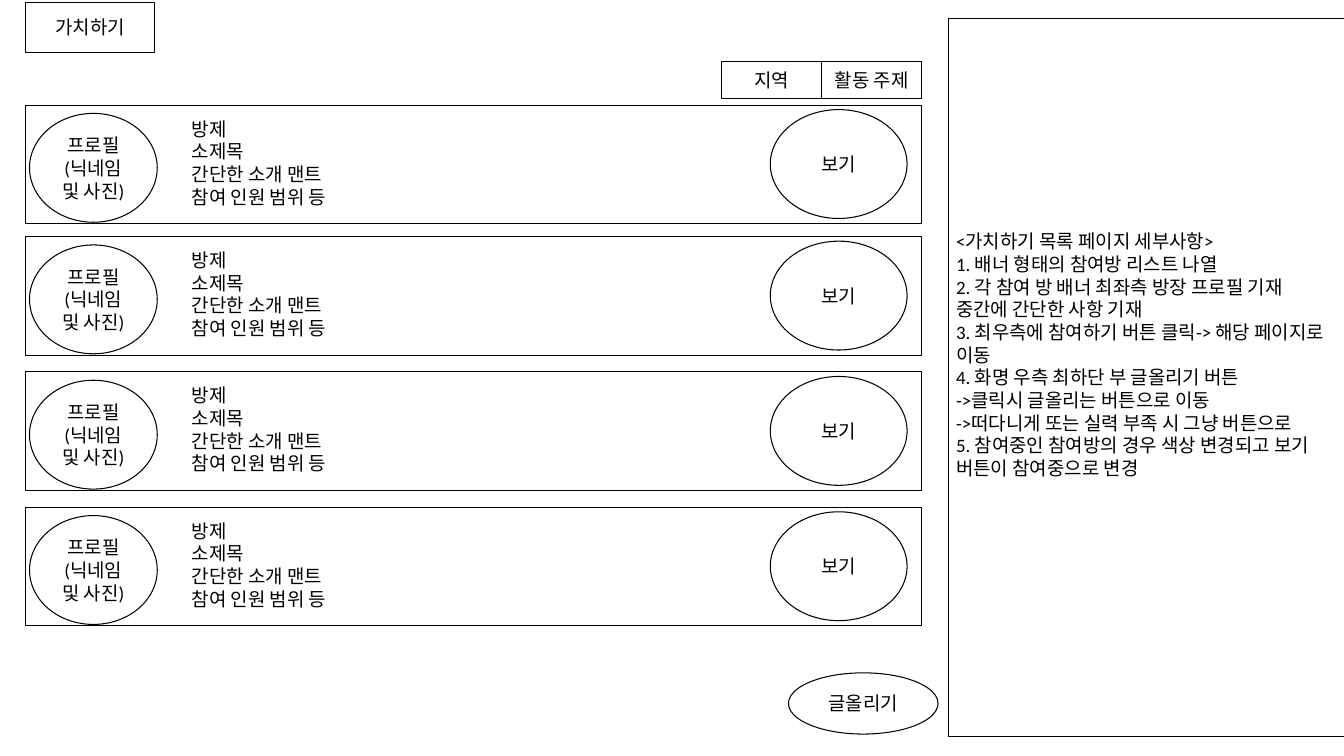
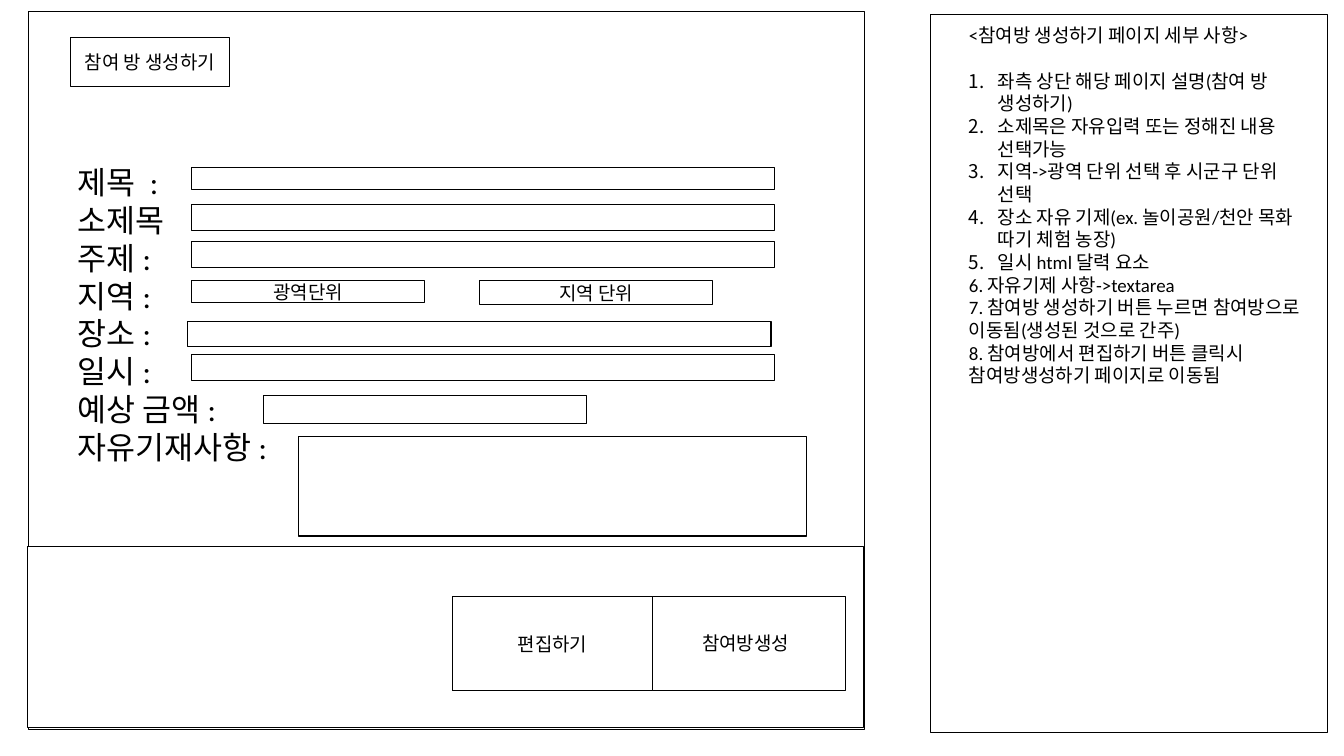
from lxml.etree import SubElement
from pptx import Presentation
from pptx.dml.color import RGBColor
from pptx.enum.shapes import MSO_SHAPE
from pptx.enum.text import MSO_ANCHOR, MSO_AUTO_SIZE, PP_ALIGN
from pptx.oxml.ns import qn
from pptx.util import Pt

PX = 9144  # 100 px to the inch
SLIDE_SIZE = (1778, 1000)
FONT, INK, PAPER = "Calibri", "000000", "FFFFFF"
BODY, LABEL = 18, 30

# List page
BANNER_TOPS = [139, 313, 492, 671]
PROFILE = "프로필\n(닉네임 및 사진)"
ROOM_LINES = ["방제", "소제목", "간단한 소개 맨트", "참여 인원 범위 등"]
FILTERS = ["지역", "활동 주제"]
LIST_NOTES = [
    "<가치하기 목록 페이지 세부사항>",
    "1. 배너 형태의 참여방 리스트 나열",
    "2. 각 참여 방 배너 최좌측 방장 프로필 기재 중간에 간단한 사항 기재",
    "3. 최우측에 참여하기 버튼 클릭-> 해당 페이지로 이동",
    "4. 화명 우측 최하단 부 글올리기 버튼",
    "->클릭시 글올리는 버튼으로 이동",
    "->떠다니게 또는 실력 부족 시 그냥 버튼으로",
    "5. 참여중인 참여방의 경우 색상 변경되고 보기 버튼이 참여중으로 변경",
]

# Form page
FORM_LABELS = ["제목  :", "소제목", "주제 :", "지역 :", "장소 :", "일시 :",
               "예상 금액 :", "자유기재사항 :"]
FORM_FIELDS = [
    ((253, 221, 772, 30), ""),
    ((253, 271, 772, 34), ""),
    ((253, 320, 772, 34), ""),
    ((253, 371, 309, 29), "광역단위"),
    ((634, 371, 309, 32), "지역 단위"),
    ((248, 425, 772, 34), ""),
    ((253, 469, 772, 34), ""),
    ((349, 523, 427, 37), ""),
    ((395, 577, 672, 132), ""),
]
FORM_HEADING = "<참여방 생성하기 페이지 세부 사항>"
NUMBERED_NOTES = [
    "좌측 상단 해당 페이지 설명(참여 방 생성하기)",
    "소제목은 자유입력 또는 정해진 내용 선택가능",
    "지역->광역 단위 선택 후 시군구 단위 선택",
    "장소 자유 기제(ex. 놀이공원/천안 목화 따기 체험 농장)",
    "일시 html 달력 요소",
]
PLAIN_NOTES = [
    "6. 자유기제 사항->textarea",
    "7. 참여방 생성하기 버튼 누르면 참여방으로 이동됨(생성된 것으로 간주)",
    "8. 참여방에서 편집하기 버튼 클릭시 참여방생성하기 페이지로 이동됨",
]


def color(value):
    return RGBColor.from_string(value)


def px(*lengths):
    return [length * PX for length in lengths]


def write(frame, lines, size=BODY, align=PP_ALIGN.LEFT):
    frame.word_wrap = True
    for index, line in enumerate(lines):
        para = frame.add_paragraph() if index else frame.paragraphs[0]
        para.alignment = align
        for part_index, part in enumerate(line.split("\n")):
            if part_index:
                para.add_line_break()
            span = para.add_run()
            span.text = part
            span.font.name = FONT
            span.font.size = Pt(size)
            span.font.color.rgb = color(INK)


def add_outline(page, place, text="", kind=MSO_SHAPE.RECTANGLE):
    """Add a white shape with a thin black line and centred text."""
    shape = page.shapes.add_shape(kind, *px(*place))
    shape.shadow.inherit = False
    shape.fill.solid()
    shape.fill.fore_color.rgb = color(PAPER)
    shape.line.color.rgb = color(INK)
    shape.line.width = Pt(1)
    shape.text_frame.vertical_anchor = MSO_ANCHOR.MIDDLE
    if text:
        write(shape.text_frame, [text], align=PP_ALIGN.CENTER)
    return shape


def add_text(page, place, lines, size=BODY):
    box = page.shapes.add_textbox(*px(*place))
    write(box.text_frame, lines, size)
    box.text_frame.auto_size = MSO_AUTO_SIZE.SHAPE_TO_FIT_TEXT
    return box


def number(para, indent=38):
    properties = para._p.get_or_add_pPr()
    properties.set("marL", str(indent * PX))
    properties.set("indent", str(-indent * PX))
    SubElement(properties, qn("a:buFont"), typeface="+mj-lt")
    SubElement(properties, qn("a:buAutoNum"), type="arabicPeriod")


def add_banner(page, top):
    add_outline(page, (34, top, 1185, 157))
    add_outline(page, (1019, top + 6, 181, 144), "보기", MSO_SHAPE.OVAL)
    add_outline(page, (39, top + 11, 169, 144), PROFILE, MSO_SHAPE.OVAL)
    add_text(page, (244, top + 11, 587, 162), ROOM_LINES)


def build_list_page(page):
    add_outline(page, (1043, 890, 198, 81), "글올리기", MSO_SHAPE.OVAL)
    panel = add_outline(page, (1255, 24, 525, 950))
    write(panel.text_frame, LIST_NOTES)
    panel.text_frame.margin_bottom = 65 * PX
    add_outline(page, (34, 3, 171, 66), "가치하기")
    for index, name in enumerate(FILTERS):
        add_outline(page, (955 + 132 * index, 81, 132, 49), name)
    for top in BANNER_TOPS:
        add_banner(page, top)


def build_form_page(page):
    for frame_place in [(38, 15, 1106, 950), (36, 723, 1106, 240),
                        (1231, 19, 525, 950)]:
        add_outline(page, frame_place)
    add_text(page, (93, 211, 963, 503), FORM_LABELS, LABEL)
    add_outline(page, (93, 50, 211, 65), "참여 방 생성하기")
    add_outline(page, (599, 789, 520, 125))
    add_outline(page, (599, 789, 264, 125), "편집하기")
    add_text(page, (919, 831, 181, 40), ["참여방생성"])
    notes = add_text(page, (1272, 26, 459, 525),
                     [FORM_HEADING, *NUMBERED_NOTES, *PLAIN_NOTES])
    heading, *items = notes.text_frame.paragraphs
    heading.space_after = Pt(22)
    for para in items[:len(NUMBERED_NOTES)]:
        number(para)
    for place, text in FORM_FIELDS:
        add_outline(page, place, text)


def main():
    deck = Presentation()
    deck.slide_width, deck.slide_height = px(*SLIDE_SIZE)
    for build in (build_list_page, build_form_page):
        build(deck.slides.add_slide(deck.slide_layouts[6]))
    deck.save("out.pptx")


if __name__ == "__main__":
    main()
